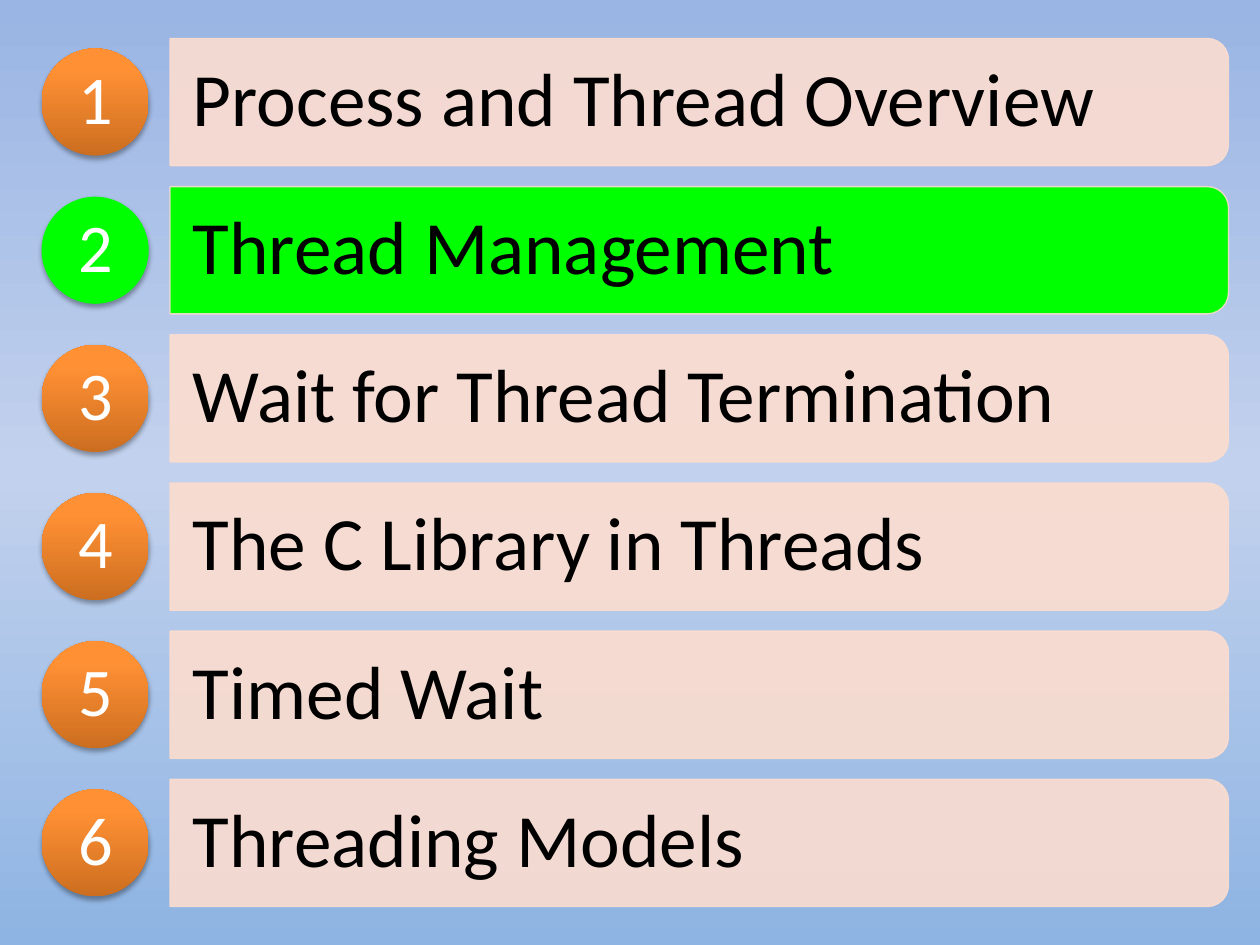
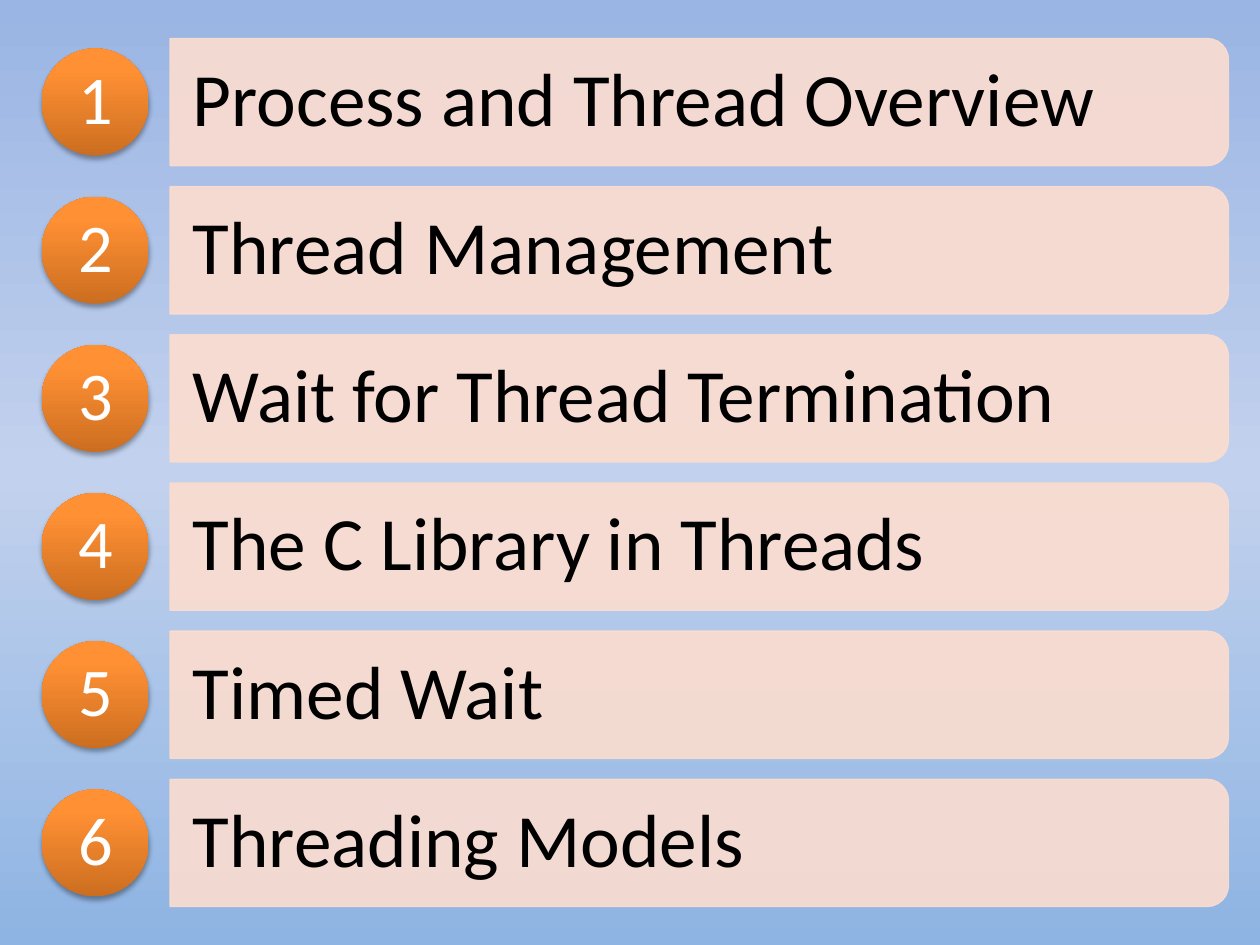
from lxml.etree import SubElement as Sub
from pptx import Presentation
from pptx.dml.color import RGBColor
from pptx.enum.shapes import MSO_SHAPE as Shape
from pptx.enum.text import MSO_ANCHOR as Anchor, PP_ALIGN as Align
from pptx.oxml.ns import qn
from pptx.util import Inches, Pt

FONT = "Calibri"
BLACK = RGBColor(0x00, 0x00, 0x00)
WHITE = RGBColor(0xFF, 0xFF, 0xFF)
PEACH = RGBColor(0xFC, 0xDD, 0xCF)
GREEN = RGBColor(0x00, 0xFF, 0x00)
SKY = [(0, RGBColor(0x9A, 0xB5, 0xE4)), (50, RGBColor(0xC2, 0xD1, 0xED)),
       (100, RGBColor(0x8E, 0xB4, 0xE3))]
ORANGE = [(0, RGBColor(0xCC, 0x6E, 0x20)), (80, RGBColor(0xFF, 0x90, 0x34)),
          (100, RGBColor(0xFF, 0x91, 0x36))]

TOPICS = ["Process and Thread Overview", "Thread Management",
          "Wait for Thread Termination", "The C Library in Threads",
          "Timed Wait", "Threading Models"]
FIRST, LAST = 0.81, 6.69
PITCH = (LAST - FIRST) / (len(TOPICS) - 1)
BAR_X, BAR_W, BAR_H = 1.35, 8.4, 1.01
DISC_X, DISC = 0.33, 0.85


def blend(owner, fill, stops, angle):
    fill.gradient()
    fill.gradient_angle = angle
    chain = owner.element.find(".//" + qn("a:gsLst"))
    for old in list(chain):
        chain.remove(old)
    for place, color in stops:
        stop = Sub(chain, qn("a:gs"), pos=str(place * 1000))
        Sub(stop, qn("a:srgbClr"), val=str(color))


def fade(node, percent):
    color = node.find(qn("a:solidFill")).find(qn("a:srgbClr"))
    Sub(color, qn("a:alpha"), val=str(percent * 1000))


def shade(shape):
    effects = shape.element.spPr.find(qn("a:effectLst"))
    drop = Sub(effects, qn("a:outerShdw"), blurRad=str(Pt(3.1)),
               dist=str(Pt(1.8)), dir="5400000", rotWithShape="0")
    color = Sub(drop, qn("a:srgbClr"), val=str(BLACK))
    Sub(color, qn("a:alpha"), val="35000")


def add_text(slide, text, x, mid, w, h, size, color, align, pad_x=0, pad_y=0):
    box = slide.shapes.add_textbox(
        Inches(x), Inches(mid - h / 2), Inches(w), Inches(h))
    frame = box.text_frame
    frame.word_wrap = True
    frame.vertical_anchor = Anchor.MIDDLE
    frame.margin_left = frame.margin_right = Inches(pad_x)
    frame.margin_top = frame.margin_bottom = Inches(pad_y)
    para = frame.paragraphs[0]
    para.text = text
    para.alignment = align
    para.line_spacing = 0.9
    para.font.name = FONT
    para.font.size = Pt(size)
    para.font.color.rgb = color


def add_bar(slide, mid, active):
    center = BAR_X + BAR_W / 2
    bar = slide.shapes.add_shape(
        Shape.ROUND_2_SAME_RECTANGLE,
        Inches(center - BAR_H / 2), Inches(mid - BAR_W / 2),
        Inches(BAR_H), Inches(BAR_W))
    bar.rotation = 90
    bar.shadow.inherit = False
    bar.fill.solid()
    bar.fill.fore_color.rgb = GREEN if active else PEACH
    bar.line.color.rgb = PEACH
    bar.line.width = Pt(0.75)
    props = bar.element.spPr
    fade(props.find(qn("a:ln")), 90)
    if not active:
        fade(props, 90)


def add_disc(slide, mid, active):
    disc = slide.shapes.add_shape(
        Shape.OVAL, Inches(DISC_X), Inches(mid - DISC / 2),
        Inches(DISC), Inches(DISC))
    disc.shadow.inherit = False
    disc.line.fill.background()
    if active:
        disc.fill.solid()
        disc.fill.fore_color.rgb = GREEN
    else:
        blend(disc, disc.fill, ORANGE, 90)
    shade(disc)


def add_row(slide, index, topic, active):
    mid = FIRST + index * PITCH
    add_bar(slide, mid, active)
    add_text(slide, topic, BAR_X, mid, 8.35, 0.91, 43, BLACK,
             Align.LEFT, 0.18, 0.12)
    add_disc(slide, mid, active)
    add_text(slide, str(index + 1), 0.46, mid, 0.6, 0.6, 39, WHITE,
             Align.CENTER)


def add_list(deck, current=None):
    slide = deck.slides.add_slide(deck.slide_layouts[6])
    blend(slide, slide.background.fill, SKY, 270)
    for index, topic in enumerate(TOPICS):
        add_row(slide, index, topic, topic == current)


def main():
    deck = Presentation()
    deck.slide_width = Inches(10)
    deck.slide_height = Inches(7.5)
    add_list(deck, "Thread Management")
    add_list(deck)
    deck.save("out.pptx")


if __name__ == "__main__":
    main()
